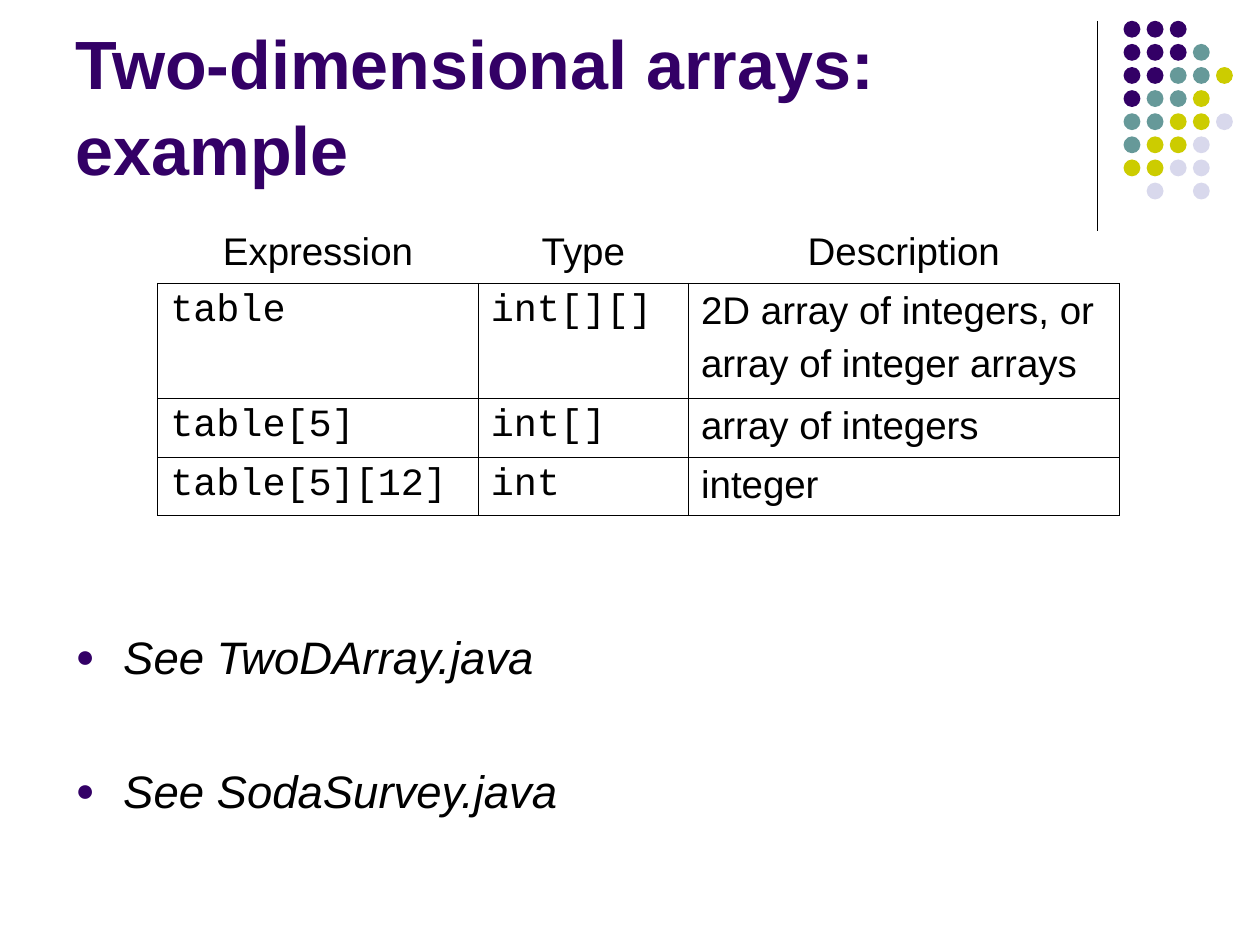
from lxml.etree import SubElement
from pptx import Presentation
from pptx.dml.color import RGBColor
from pptx.enum.shapes import MSO_CONNECTOR, MSO_SHAPE
from pptx.enum.text import MSO_ANCHOR, MSO_AUTO_SIZE, PP_ALIGN
from pptx.oxml.ns import qn
from pptx.util import Cm, Pt

PURPLE, TEAL, LIME, LAVENDER, BLACK = "330066", "669999", "CCCC00", "D8D8EC", "000000"
DOT_COLOURS = {"P": PURPLE, "T": TEAL, "L": LIME, "V": LAVENDER}
DOT_ROWS = ["PPP", "PPPT", "PPTTL", "PTTL", "TTLLV", "TLLV", "LLVV", " V V"]
HEADERS = ["Expression", "Type", "Description"]
ROWS = [
    ["table", "int[][]", "2D array of integers, or\narray of integer arrays"],
    ["table[5]", "int[]", "array of integers"],
    ["table[5][12]", "int", "integer"],
]
COLUMN_WIDTHS = [6.46, 4.24, 8.68]
ROW_HEIGHTS = [1.18, 2.32, 1.18, 1.18]


def colour(hex_string):
    """Turn a hex string into a colour."""
    return RGBColor.from_string(hex_string)


def style(paragraph, size, hex_string, name="Arial", bold=False, italic=False):
    """Set the font of a whole paragraph."""
    font = paragraph.font
    font.name, font.size, font.bold, font.italic = name, Pt(size), bold, italic
    font.color.rgb = colour(hex_string)


def place(shape, left, top, width, height):
    """Move a shape to a box given in centimetres."""
    shape.left, shape.top = Cm(left), Cm(top)
    shape.width, shape.height = Cm(width), Cm(height)


def add_title(slide, box, text):
    """Fill the title placeholder."""
    title = slide.shapes.title
    place(title, *box)
    frame = title.text_frame
    frame.text = text
    frame.word_wrap = True
    frame.auto_size = MSO_AUTO_SIZE.NONE
    frame.vertical_anchor = MSO_ANCHOR.BOTTOM
    paragraph = frame.paragraphs[0]
    paragraph.alignment = PP_ALIGN.LEFT
    paragraph.line_spacing = 1.05
    style(paragraph, 39, PURPLE, bold=True)


def add_bullet(paragraph):
    """Give a paragraph a small purple bullet with a hanging indent."""
    properties = paragraph._p.get_or_add_pPr()
    properties.set("marL", str(Cm(0.96)))
    properties.set("indent", str(-Cm(0.96)))
    bullet_colour = SubElement(properties, qn("a:buClr"))
    SubElement(bullet_colour, qn("a:srgbClr"), val=PURPLE)
    SubElement(properties, qn("a:buSzPct"), val="70000")
    SubElement(properties, qn("a:buFont"), typeface="Arial")
    SubElement(properties, qn("a:buChar"), char="●")


def add_list(slide, box, items):
    """Fill the body placeholder with widely spaced bullets."""
    body = slide.placeholders[1]
    place(body, *box)
    frame = body.text_frame
    frame.text = "\n".join(items)
    frame.auto_size = MSO_AUTO_SIZE.NONE
    for index, paragraph in enumerate(frame.paragraphs):
        paragraph.line_spacing = 1.05
        paragraph.space_before = Pt(44 if index else 6.5)
        add_bullet(paragraph)
        style(paragraph, 26, BLACK, italic=True)


def set_borders(cell, visible_sides):
    """Draw thin black borders on the given sides and none on the others."""
    properties = cell._tc.get_or_add_tcPr()
    for index, side in enumerate("LRTB"):
        line = SubElement(properties, qn(f"a:ln{side}"), w=str(Pt(0.45)))
        if side in visible_sides:
            fill = SubElement(line, qn("a:solidFill"))
            SubElement(fill, qn("a:srgbClr"), val=BLACK)
        else:
            SubElement(line, qn("a:noFill"))


def fill_cell(cell, text, is_header, font_name):
    """Write one table cell with its borders and text style."""
    set_borders(cell, "B" if is_header else "LRTB")
    cell.fill.background()
    cell.text = text
    for paragraph in cell.text_frame.paragraphs:
        paragraph.space_before = Pt(5.5)
        paragraph.alignment = PP_ALIGN.CENTER if is_header else PP_ALIGN.LEFT
        style(paragraph, 22, BLACK, font_name)


def add_expression_table(slide, left, top):
    """Add the table of expressions and their types."""
    rows = [HEADERS] + ROWS
    width, height = sum(COLUMN_WIDTHS), sum(ROW_HEIGHTS)
    table = slide.shapes.add_table(
        len(rows), len(HEADERS), Cm(left), Cm(top), Cm(width), Cm(height)
    ).table
    table.first_row = table.horz_banding = False
    for column, column_width in zip(table.columns, COLUMN_WIDTHS):
        column.width = Cm(column_width)
    for row_index, texts in enumerate(rows):
        table.rows[row_index].height = Cm(ROW_HEIGHTS[row_index])
        for column_index, text in enumerate(texts):
            is_header = row_index == 0
            is_code = not is_header and column_index < 2
            font_name = "Courier New" if is_code else "Arial"
            fill_cell(table.cell(row_index, column_index), text, is_header, font_name)


def add_corner_ornament(slide, left, top, height):
    """Add the vertical rule and the grid of dots beside it."""
    rule = slide.shapes.add_connector(
        MSO_CONNECTOR.STRAIGHT, Cm(left), Cm(top), Cm(left), Cm(top + height)
    )
    rule.line.color.rgb = colour(BLACK)
    rule.line.width = Pt(0.75)
    SubElement(rule._element.spPr, qn("a:effectLst"))
    diameter, pitch, offset = 0.34, 0.466, 0.53
    group = slide.shapes.add_group_shape()
    for row, pattern in enumerate(DOT_ROWS):
        for column, key in enumerate(pattern):
            if key == " ":
                continue
            dot = group.shapes.add_shape(
                MSO_SHAPE.OVAL,
                Cm(left + offset + column * pitch),
                Cm(top + row * pitch),
                Cm(diameter),
                Cm(diameter),
            )
            dot.shadow.inherit = False
            dot.fill.solid()
            dot.fill.fore_color.rgb = colour(DOT_COLOURS[key])
            dot.line.fill.background()


def main():
    """Build and save the slide."""
    presentation = Presentation()
    presentation.slide_width, presentation.slide_height = Cm(25.4), Cm(19.05)
    slide = presentation.slides.add_slide(presentation.slide_layouts[1])
    add_corner_ornament(slide, 22.12, 0.42, 4.23)
    add_title(slide, (1.27, 0.33, 20.96, 3.61), "Two-dimensional arrays: example")
    add_list(slide, (1.27, 12.5, 22.86, 4.55), ["See TwoDArray.java", "See SodaSurvey.java"])
    add_expression_table(slide, 3.18, 4.53)
    presentation.save("out.pptx")


if __name__ == "__main__":
    main()
